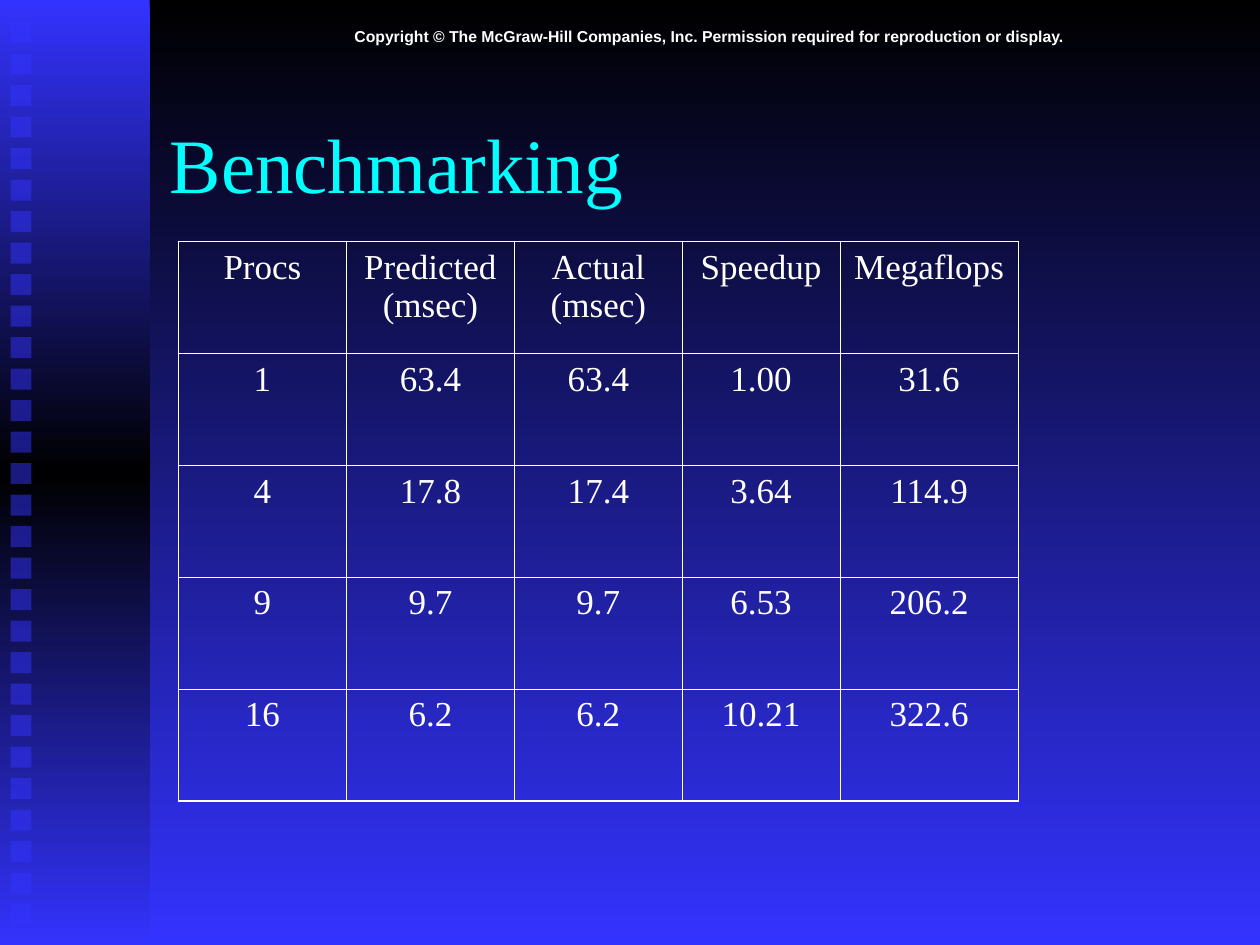
from copy import deepcopy
from dataclasses import dataclass

from lxml.etree import SubElement
from pptx import Presentation
from pptx.dml.color import RGBColor
from pptx.enum.shapes import MSO_SHAPE
from pptx.enum.text import MSO_ANCHOR, PP_ALIGN
from pptx.oxml import parse_xml
from pptx.oxml.ns import nsdecls, qn
from pptx.util import Inches, Pt


@dataclass(frozen=True)
class Theme:
    blue: str = "3333FF"
    black: str = "000000"
    cyan: str = "00FFFF"
    white: str = "FFFFFF"
    serif: str = "Times New Roman"
    sans: str = "Arial"
    title_size: float = 44
    table_size: float = 20
    notice_size: float = 9
    outer_border: float = 1.08
    inner_border: float = 0.45


class SlideBuilder:
    columns_per_inch = 12

    def __init__(self, presentation, theme):
        self.theme = theme
        self.slide = presentation.slides.add_slide(presentation.slide_layouts[6])

    def grid(self, *units):
        return [Inches(unit / self.columns_per_inch) for unit in units]

    def gradient(self, fill, element, colors):
        fill.gradient()
        fill.gradient_angle = 270
        stop_list = next(element.iter(qn("a:gsLst")))
        while len(stop_list) < len(colors):
            stop_list.append(deepcopy(stop_list[0]))
        for index, (stop, color) in enumerate(zip(fill.gradient_stops, colors)):
            stop.position = index / (len(colors) - 1)
            stop.color.rgb = RGBColor.from_string(color)

    def background(self, colors):
        self.gradient(self.slide.background.fill, self.slide.element, colors)

    def rectangle(self, box):
        shape = self.slide.shapes.add_shape(MSO_SHAPE.RECTANGLE, *self.grid(*box))
        shape.shadow.inherit = False
        shape.line.fill.background()
        return shape

    def gradient_bar(self, box, colors):
        shape = self.rectangle(box)
        self.gradient(shape.fill, shape.element, colors)

    def translucent_square(self, left, top, side, color, opacity):
        shape = self.rectangle((left, top, side, side))
        shape.fill.solid()
        shape.fill.fore_color.rgb = RGBColor.from_string(color)
        color_element = next(shape.element.spPr.iter(qn("a:srgbClr")))
        SubElement(color_element, qn("a:alpha"), val=str(opacity * 1000))

    def set_text(self, frame, text, size, font, color, align, bold=False):
        frame.text = text
        paragraph = frame.paragraphs[0]
        paragraph.alignment = align
        paragraph.font.size = Pt(size)
        paragraph.font.name = font
        paragraph.font.bold = bold
        paragraph.font.color.rgb = RGBColor.from_string(color)

    def text(self, box, text, size, font, color, align=PP_ALIGN.LEFT,
             anchor=MSO_ANCHOR.TOP, bold=False):
        frame = self.slide.shapes.add_textbox(*self.grid(*box)).text_frame
        frame.word_wrap = True
        frame.vertical_anchor = anchor
        self.set_text(frame, text, size, font, color, align, bold)

    def border(self, cell, sides):
        properties = cell._tc.get_or_add_tcPr()
        for index, (side, width) in enumerate(sides.items()):
            properties.insert(index, parse_xml(
                f'<a:ln{side} {nsdecls("a")} w="{Pt(width)}"><a:solidFill>'
                f'<a:srgbClr val="{self.theme.white}"/></a:solidFill></a:ln{side}>'))

    def table(self, left, top, widths, row_height, rows):
        theme = self.theme
        box = self.grid(left, top, sum(widths), row_height * len(rows))
        table = self.slide.shapes.add_table(len(rows), len(widths), *box).table
        table.first_row = table.horz_banding = False
        for column, width in zip(table.columns, self.grid(*widths)):
            column.width = width
        last_row, last_column = len(rows) - 1, len(widths) - 1
        for row_index, values in enumerate(rows):
            table.rows[row_index].height = self.grid(row_height)[0]
            for column_index, value in enumerate(values):
                cell = table.cell(row_index, column_index)
                self.set_text(cell.text_frame, value, theme.table_size, theme.serif,
                              theme.white, PP_ALIGN.CENTER)
                cell.fill.background()
                on_edge = {"L": column_index == 0, "R": column_index == last_column,
                           "T": row_index == 0, "B": row_index == last_row}
                self.border(cell, {
                    side: theme.outer_border if outer else theme.inner_border
                    for side, outer in on_edge.items()})


def main():
    theme = Theme()
    presentation = Presentation()
    presentation.slide_width, presentation.slide_height = Inches(10), Inches(7.5)
    builder = SlideBuilder(presentation, theme)

    builder.background([theme.black, theme.blue])
    builder.gradient_bar((0, 0, 14.25, 90), [theme.blue, theme.black, theme.blue])
    for index in range(29):
        builder.translucent_square(1, 2.1 + 3 * index, 2, theme.blue, 50)

    builder.text(
        (15, 2, 105, 3),
        "Copyright © The McGraw-Hill Companies, Inc. "
        "Permission required for reproduction or display.",
        theme.notice_size, theme.sans, theme.white, PP_ALIGN.CENTER, bold=True)
    builder.text((15, 8, 102, 15), "Benchmarking", theme.title_size, theme.serif,
                 theme.cyan, anchor=MSO_ANCHOR.MIDDLE)
    builder.table(17, 23, [16, 16, 16, 15, 17], 32 / 3, [
        ["Procs", "Predicted\v(msec)", "Actual (msec)", "Speedup", "Megaflops"],
        ["1", "63.4", "63.4", "1.00", "31.6"],
        ["4", "17.8", "17.4", "3.64", "114.9"],
        ["9", "9.7", "9.7", "6.53", "206.2"],
        ["16", "6.2", "6.2", "10.21", "322.6"],
    ])
    presentation.save("out.pptx")


if __name__ == "__main__":
    main()
